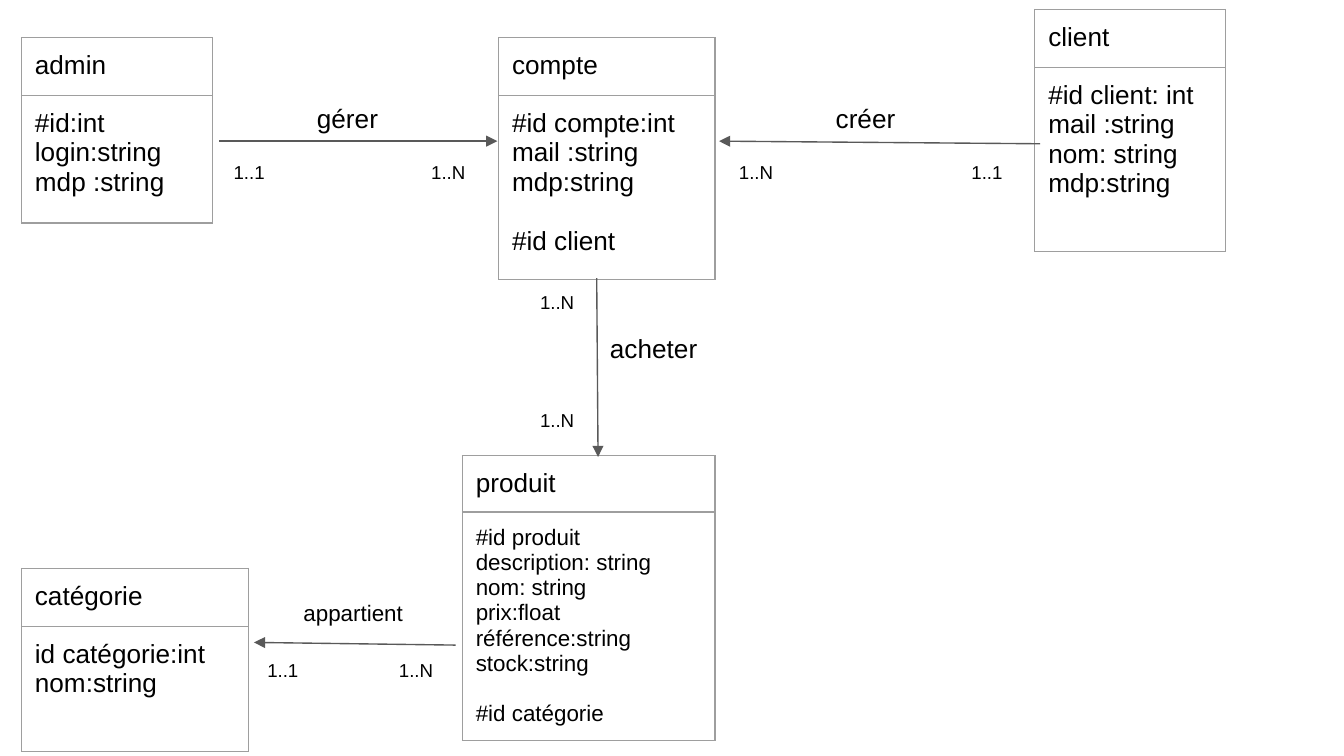
from lxml.etree import SubElement
from pptx import Presentation
from pptx.dml.color import RGBColor
from pptx.enum.shapes import MSO_CONNECTOR
from pptx.enum.text import MSO_AUTO_SIZE
from pptx.oxml import parse_xml
from pptx.oxml.ns import nsdecls, qn
from pptx.util import Inches, Pt

BLACK = RGBColor(0x00, 0x00, 0x00)
GREY = RGBColor(0x59, 0x59, 0x59)
BORDER = RGBColor(0x9E, 0x9E, 0x9E)
LINE_WIDTH = Pt(0.75)
LINE_HEIGHT = 1.15

# Entities: name, left, top, width, row heights, attribute size, attribute groups
ENTITIES = [
    ("admin ", 0.16, 0.28, 1.42, (0.43, 0.95), 14,
     [["#id:int", "login:string", "mdp :string"]]),
    ("compte", 3.71, 0.28, 1.61, (0.43, 1.37), 14,
     [["#id compte:int", "mail :string", "mdp:string"], ["#id client"]]),
    ("produit", 3.44, 3.39, 1.88, (0.41, 1.7), 12,
     [["#id produit", "description: string", "nom: string", "prix:float",
       "référence:string", "stock:string"], ["#id catégorie"]]),
    ("catégorie", 0.16, 4.23, 1.69, (0.43, 0.93), 14,
     [["id catégorie:int", "nom:string"]]),
    ("client", 7.7, 0.07, 1.42, (0.43, 1.37), 14,
     [["#id client: int", "mail :string", "nom: string", "mdp:string"]]),
]

# Arrows: start x, start y, end x, end y
ARROWS = [
    (1.63, 1.05, 3.7, 1.05),
    (7.74, 1.07, 5.35, 1.05),
    (4.44, 2.07, 4.45, 3.4),
    (3.39, 4.8, 1.89, 4.78),
]

# Relation names: text, left, top, width, height, size
RELATIONS = [
    ("gérer", 2.26, 0.66, 0.97, 0.44, 14),
    ("créer", 6.12, 0.66, 0.97, 0.44, 14),
    ("acheter", 4.44, 2.37, 0.97, 0.44, 14),
    ("appartient", 2.16, 4.36, 1.07, 0.4, 12),
]

# Cardinalities: text, left, top
CARDINALITIES = [
    ("1..1", 1.64, 1.11), ("1..N", 3.11, 1.11),
    ("1..N", 5.4, 1.11), ("1..1", 7.13, 1.11),
    ("1..N", 3.92, 2.08), ("1..N", 3.92, 2.96),
    ("1..N", 2.87, 4.82), ("1..1", 1.89, 4.82),
]


def set_all(obj, **values):
    for name, value in values.items():
        setattr(obj, name, value)


def set_margins(obj):
    for side in ("left", "right", "top", "bottom"):
        setattr(obj, f"margin_{side}", Inches(0.1))


def write(tf, groups, size):
    """One paragraph per line, with a line's height of space between groups."""
    p = None
    for g, lines in enumerate(groups):
        for i, line in enumerate(lines):
            p = tf.add_paragraph() if p is not None else tf.paragraphs[0]
            if g and not i:
                p.space_before = Pt(size * LINE_HEIGHT)
            r = p.add_run()
            r.text = line
            set_all(r.font, name="Arial", size=Pt(size))
            r.font.color.rgb = BLACK


def add_borders(cell):
    tcPr = cell._tc.get_or_add_tcPr()
    for i, edge in enumerate(("lnL", "lnR", "lnT", "lnB")):
        tcPr.insert(i, parse_xml(
            f'<a:{edge} {nsdecls("a")} w="{LINE_WIDTH}"><a:solidFill>'
            f'<a:srgbClr val="{BORDER}"/></a:solidFill></a:{edge}>'))


def add_entity(s, name, x, y, w, heights, size, groups):
    table = s.shapes.add_table(2, 1, Inches(x), Inches(y), Inches(w),
                               Inches(sum(heights))).table
    set_all(table, first_row=False, horz_banding=False)
    for i, (text, pt) in enumerate((([[name]], 14), (groups, size))):
        table.rows[i].height = Inches(heights[i])
        cell = table.cell(i, 0)
        cell.fill.background()
        set_margins(cell)
        add_borders(cell)
        write(cell.text_frame, text, pt)


def add_arrow(s, *ends):
    arrow = s.shapes.add_connector(MSO_CONNECTOR.STRAIGHT, *map(Inches, ends))
    arrow.line.color.rgb = GREY
    arrow.line.width = LINE_WIDTH
    SubElement(arrow.line._get_or_add_ln(), qn("a:tailEnd"), type="triangle")
    SubElement(arrow._element.spPr, qn("a:effectLst"))


def add_label(s, text, x, y, w, h, size):
    tf = s.shapes.add_textbox(*map(Inches, (x, y, w, h))).text_frame
    set_all(tf, word_wrap=True, auto_size=MSO_AUTO_SIZE.SHAPE_TO_FIT_TEXT)
    set_margins(tf)
    write(tf, [[text]], size)


# Widescreen slide, 16:9
prs = Presentation()
prs.slide_width = Inches(10)
prs.slide_height = Inches(10) * 9 // 16
s = prs.slides.add_slide(prs.slide_layouts[6])

for entity in ENTITIES:
    add_entity(s, *entity)
for ends in ARROWS:
    add_arrow(s, *ends)
for relation in RELATIONS:
    add_label(s, *relation)
for text, x, y in CARDINALITIES:
    add_label(s, text, x, y, 0.52, 0.37, 10)

prs.save("out.pptx")
